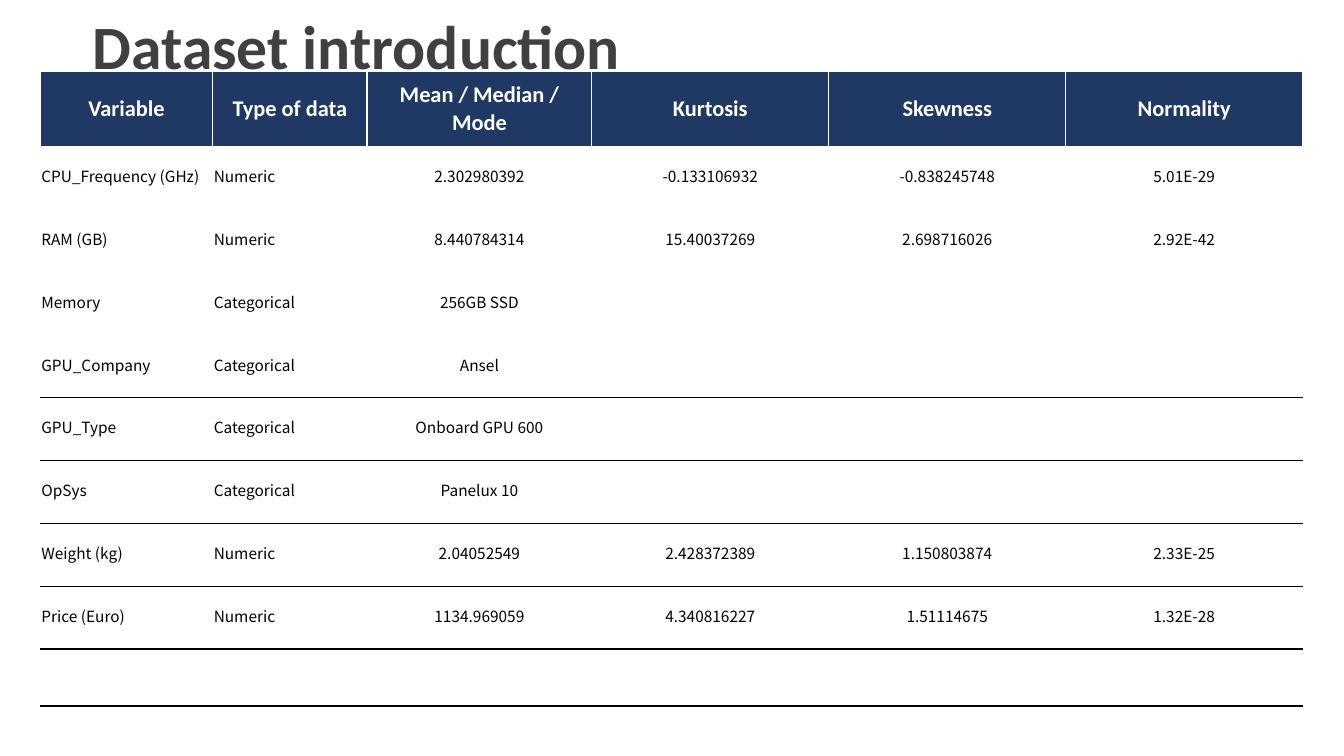
from lxml.etree import SubElement
from pptx import Presentation
from pptx.dml.color import RGBColor
from pptx.enum.text import MSO_ANCHOR, PP_ALIGN
from pptx.oxml.ns import qn
from pptx.util import Inches, Pt

SLIDE_WIDTH, SLIDE_HEIGHT = Inches(13.33), Inches(7.5)
NAVY = RGBColor(0x20, 0x38, 0x64)
GREY = RGBColor(0x40, 0x40, 0x40)
BLACK = RGBColor(0, 0, 0)
WHITE = RGBColor(0xFF, 0xFF, 0xFF)

TITLE_FONT = {"name": "Calibri", "size": Pt(44), "bold": True}
HEADER_FONT = {"name": "Calibri", "size": Pt(16), "bold": True}
BODY_FONT = {"name": "Noto Sans CJK SC", "size": Pt(11), "bold": False}
BODY_MARGINS = {
    "margin_left": Inches(0.01),
    "margin_top": Inches(0.01),
    "margin_right": Inches(0.01),
    "margin_bottom": Inches(0.05),
}

COLUMN_PERCENTS = [12.83, 11.48, 16.73] + [17.63] * 3
ROW_PERCENTS = [9.87] + [8.32] * 8 + [7.5]
FIRST_RULED_ROW = 5
LABEL_COLUMNS = 2

VARIABLES = [
    ("Variable", "Type of data", "Mean / Median / Mode", "Kurtosis", "Skewness", "Normality"),
    ("CPU_Frequency (GHz)", "Numeric", "2.302980392", "-0.133106932", "-0.838245748", "5.01E-29"),
    ("RAM (GB)", "Numeric", "8.440784314", "15.40037269", "2.698716026", "2.92E-42"),
    ("Memory", "Categorical", "256GB SSD", "", "", ""),
    ("GPU_Company", "Categorical", "Ansel", "", "", ""),
    ("GPU_Type", "Categorical", "Onboard GPU 600", "", "", ""),
    ("OpSys", "Categorical", "Panelux 10", "", "", ""),
    ("Weight (kg)", "Numeric", "2.04052549", "2.428372389", "1.150803874", "2.33E-25"),
    ("Price (Euro)", "Numeric", "1134.969059", "4.340816227", "1.51114675", "1.32E-28"),
    ("",) * 6,
]


def across(percent):
    """Return a share of the slide's width."""
    return round(SLIDE_WIDTH * percent / 100)


def down(percent):
    """Return a share of the slide's height."""
    return round(SLIDE_HEIGHT * percent / 100)


def apply_format(target, values):
    """Set each named attribute on the target."""
    for attribute, value in values.items():
        setattr(target, attribute, value)


def write_text(paragraph, words, font, color):
    """Add one formatted run to a paragraph."""
    run = paragraph.add_run()
    run.text = words
    apply_format(run.font, font)
    run.font.color.rgb = color


def add_title(slide, words):
    """Add the slide's heading."""
    heading = slide.shapes.add_textbox(across(6.15), 0, across(86.25), down(13.2))
    apply_format(heading.text_frame, {"word_wrap": True, "vertical_anchor": MSO_ANCHOR.MIDDLE})
    paragraph = heading.text_frame.paragraphs[0]
    paragraph.line_spacing = 0.9
    write_text(paragraph, words, TITLE_FONT, GREY)


def set_borders(cell, top, bottom, bottom_width):
    """Draw white sides and the given top and bottom edges."""
    properties = cell._tc.get_or_add_tcPr()
    edges = [("L", WHITE, 1), ("R", WHITE, 1), ("T", top, 1), ("B", bottom, bottom_width)]
    for position, (side, color, width) in enumerate(edges):
        edge = SubElement(properties, qn(f"a:ln{side}"), w=str(Pt(width)))
        fill = SubElement(edge, qn("a:solidFill"))
        SubElement(fill, qn("a:srgbClr"), val=str(color))
        properties.insert(position, edge)


def fill_cell(cell, words, is_header, is_label):
    """Fill a cell and write its words."""
    cell.fill.solid()
    cell.fill.fore_color.rgb = NAVY if is_header else WHITE
    cell.vertical_anchor = MSO_ANCHOR.MIDDLE
    if not is_header:
        apply_format(cell, BODY_MARGINS)
    paragraph = cell.text_frame.paragraphs[0]
    paragraph.alignment = PP_ALIGN.LEFT if is_label else PP_ALIGN.CENTER
    if words:
        write_text(paragraph, words, HEADER_FONT if is_header else BODY_FONT,
                   WHITE if is_header else BLACK)


def add_variable_table(slide):
    """Add the table of variables and their statistics."""
    table = slide.shapes.add_table(
        len(ROW_PERCENTS), len(COLUMN_PERCENTS), across(3), down(9.47),
        across(sum(COLUMN_PERCENTS)), down(sum(ROW_PERCENTS))).table
    table.horz_banding = False
    for column, percent in zip(table.columns, COLUMN_PERCENTS):
        column.width = across(percent)
    for row, percent in zip(table.rows, ROW_PERCENTS):
        row.height = down(percent)
    last_row = len(VARIABLES) - 1
    for row_index, variable in enumerate(VARIABLES):
        is_header = row_index == 0
        top = BLACK if row_index >= FIRST_RULED_ROW else WHITE
        bottom = BLACK if row_index + 1 >= FIRST_RULED_ROW else WHITE
        bottom_width = 1.5 if row_index == last_row else 1
        for column_index, words in enumerate(variable):
            cell = table.cell(row_index, column_index)
            fill_cell(cell, words, is_header, not is_header and column_index < LABEL_COLUMNS)
            set_borders(cell, top, bottom, bottom_width)


def main():
    """Build and save the slide."""
    presentation = Presentation()
    apply_format(presentation, {"slide_width": SLIDE_WIDTH, "slide_height": SLIDE_HEIGHT})
    slide = presentation.slides.add_slide(presentation.slide_layouts[6])
    add_title(slide, "Dataset introduction")
    add_variable_table(slide)
    presentation.save("out.pptx")


if __name__ == "__main__":
    main()
